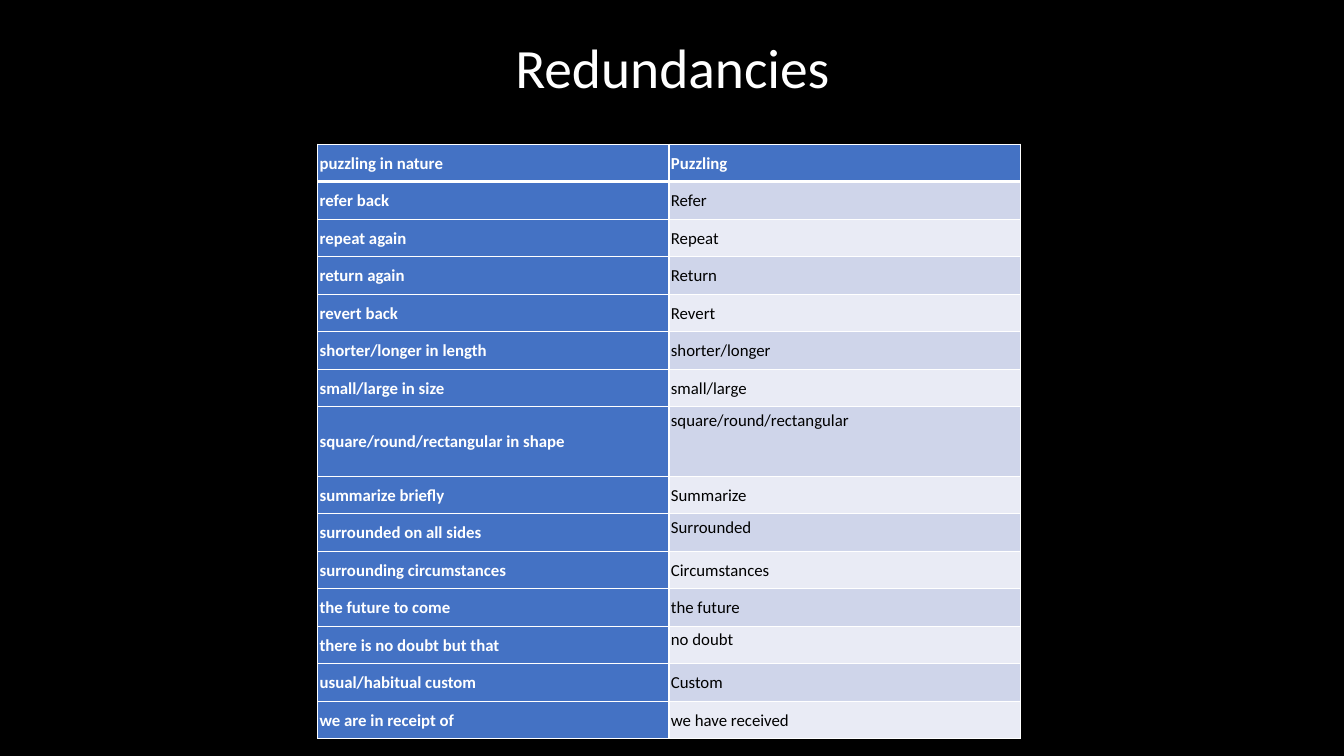
from lxml.etree import SubElement
from pptx import Presentation
from pptx.dml.color import RGBColor
from pptx.enum.text import MSO_ANCHOR, PP_ALIGN
from pptx.oxml.ns import qn
from pptx.util import Inches, Pt

FONT = "Calibri"
WHITE, BLACK, BLUE = "FFFFFF", "000000", "4472C4"
BANDS = ["E9EBF5", "CFD5EA"]
PHRASES = [
    ("puzzling in nature", "Puzzling"),
    ("refer back", "Refer"),
    ("repeat again", "Repeat"),
    ("return again", "Return"),
    ("revert back", "Revert"),
    ("shorter/longer in length", "shorter/longer"),
    ("small/large in size", "small/large"),
    ("square/round/rectangular in shape", "square/round/rectangular"),
    ("summarize briefly", "Summarize"),
    ("surrounded on all sides", "Surrounded"),
    ("surrounding circumstances", "Circumstances"),
    ("the future to come", "the future"),
    ("there is no doubt but that", "no doubt"),
    ("usual/habitual custom", "Custom"),
    ("we are in receipt of", "we have received"),
]
TALL_ROW, TALL_HEIGHT = 7, 0.69
TOP_ANCHORED = {"square/round/rectangular", "Surrounded", "no doubt"}


def color(hex_value):
    return RGBColor.from_string(hex_value)


def add_run(paragraph, text, size, hex_value, bold=False):
    run = paragraph.add_run()
    run.text = text
    run.font.name = FONT
    run.font.size = Pt(size)
    run.font.bold = bold
    run.font.color.rgb = color(hex_value)


def add_title(slide, left, top, width, height):
    shape = slide.shapes.add_textbox(Inches(left), Inches(top), Inches(width), Inches(height))
    frame = shape.text_frame
    frame.word_wrap = True
    frame.vertical_anchor = MSO_ANCHOR.MIDDLE
    paragraph = frame.paragraphs[0]
    paragraph.alignment = PP_ALIGN.CENTER
    paragraph.line_spacing = 0.9
    add_run(paragraph, "Redundancies", 39.6, WHITE)


def add_borders(cell, top, bottom):
    """Draw white cell borders; must run before the cell gets its fill."""
    properties = cell._tc.get_or_add_tcPr()
    for side, width in (("L", 1), ("R", 1), ("T", top), ("B", bottom)):
        line = SubElement(properties, qn(f"a:ln{side}"), w=str(Pt(width)))
        fill = SubElement(line, qn("a:solidFill"))
        SubElement(fill, qn("a:srgbClr"), val=WHITE)


def fill_cell(cell, text, row, column):
    heading = row == 0 or column == 0
    add_borders(cell, top=3 if row == 1 else 1, bottom=3 if row == 0 else 1)
    cell.fill.solid()
    cell.fill.fore_color.rgb = color(BLUE if heading else BANDS[row % 2])
    cell.margin_left = cell.margin_right = Inches(0.02)
    cell.margin_top = cell.margin_bottom = Inches(0.02)
    cell.vertical_anchor = MSO_ANCHOR.TOP if text in TOP_ANCHORED else MSO_ANCHOR.MIDDLE
    paragraph = cell.text_frame.paragraphs[0]
    paragraph.line_spacing = 1.07
    paragraph.space_after = Pt(8)
    add_run(paragraph, text, 12, WHITE if heading else BLACK, heading)


def add_phrase_table(slide, left, top, width, height):
    table = slide.shapes.add_table(
        len(PHRASES), 2, Inches(left), Inches(top), Inches(width), Inches(height)
    ).table
    row_height = (height - TALL_HEIGHT) / (len(PHRASES) - 1)
    for row, phrases in enumerate(PHRASES):
        table.rows[row].height = Inches(TALL_HEIGHT if row == TALL_ROW else row_height)
        for column, text in enumerate(phrases):
            fill_cell(table.cell(row, column), text, row, column)


def main():
    presentation = Presentation()
    presentation.slide_width = Inches(13.33)
    presentation.slide_height = Inches(7.5)
    slide = presentation.slides.add_slide(presentation.slide_layouts[6])
    slide.background.fill.solid()
    slide.background.fill.fore_color.rgb = color(BLACK)
    add_title(slide, 0.92, 0.4, 11.5, 0.59)
    add_phrase_table(slide, 3.15, 1.43, 6.97, 5.9)
    presentation.save("out.pptx")


if __name__ == "__main__":
    main()
